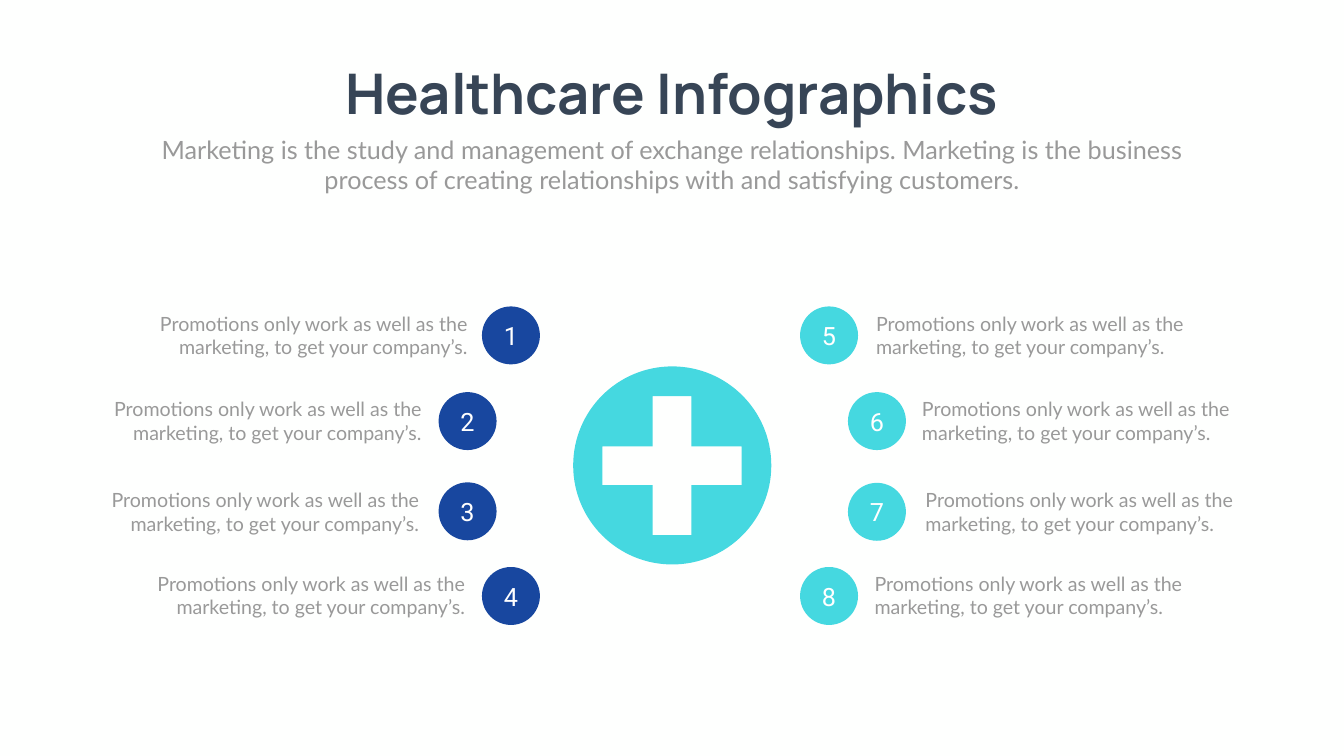
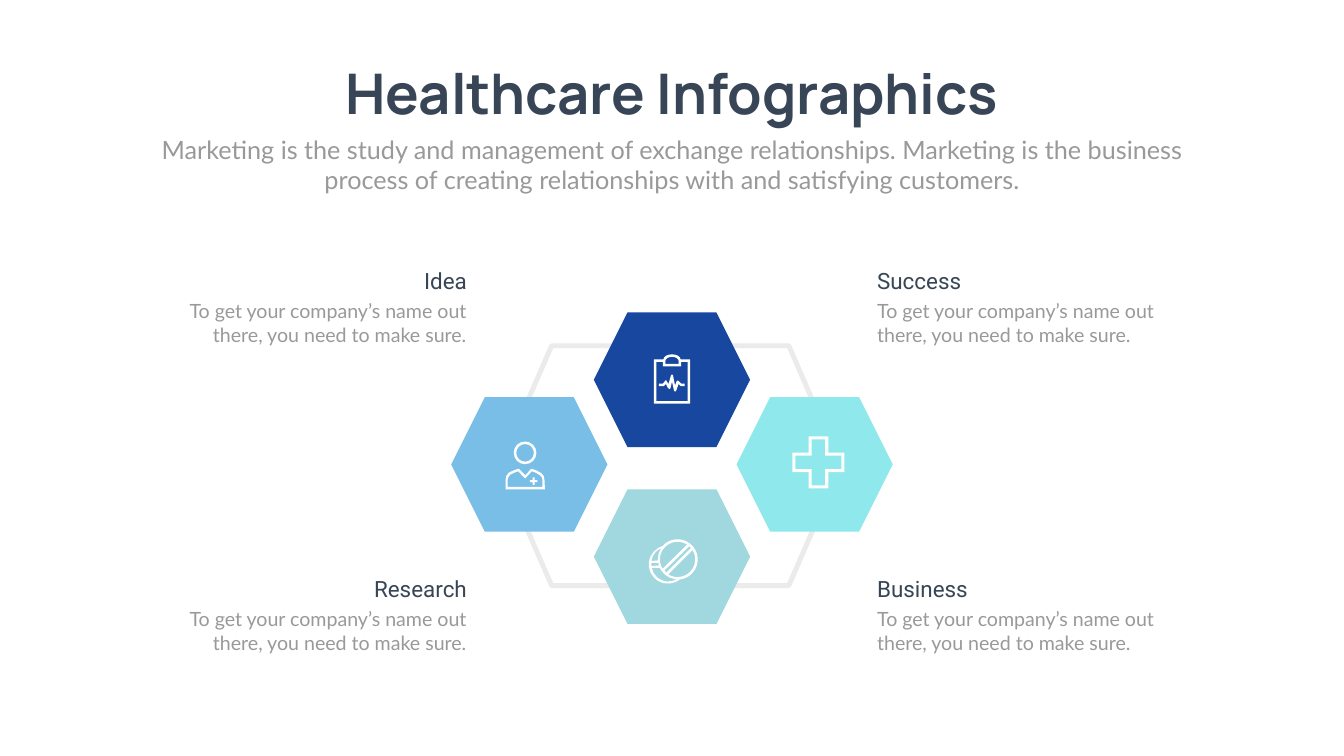
from math import ceil, cos, radians, sin, tan
from typing import NamedTuple

from pptx import Presentation
from pptx.dml.color import RGBColor
from pptx.enum.shapes import MSO_SHAPE
from pptx.enum.text import MSO_ANCHOR, MSO_AUTO_SIZE, PP_ALIGN
from pptx.oxml.ns import qn
from pptx.util import Pt

PX = 9144  # EMU in one px; 100 px make an inch
WIDE, HIGH = 2666, 1500

LEFT, MID, RIGHT = PP_ALIGN.LEFT, PP_ALIGN.CENTER, PP_ALIGN.RIGHT
TOP, CENTRE = MSO_ANCHOR.TOP, MSO_ANCHOR.MIDDLE
GROW = MSO_AUTO_SIZE.SHAPE_TO_FIT_TEXT
OVAL, HEXAGON = MSO_SHAPE.OVAL, MSO_SHAPE.HEXAGON

COLOURS = {
    "paper": "FEFFFE", "white": "FFFFFF", "ink": "374556", "grey": "999999",
    "ring": "EBEBEB", "navy": "18479F", "aqua": "45D8E0", "sky": "78BEE7",
    "sage": "A1D7DF", "mint": "8FE8EC",
}

TITLE = "Healthcare Infographics"
LEAD = ("Marketing is the study and management of exchange relationships. "
        "Marketing is the business process of creating relationships with "
        "and satisfying customers.")
PROMO = "Promotions only work as well as the marketing, to get your company’s."
ADVICE = "To get your company’s name out there, you need to make sure."

# A contour is a list of moves: two numbers for a line, six for a curve.
Trace = list[tuple[float, ...]]


class Box(NamedTuple):
    x: int
    y: int
    w: int
    h: int


class Style(NamedTuple):
    font: str
    size: int
    colour: str
    bold: bool = False


class Step(NamedTuple):
    label: str
    dot_x: int
    dot_y: int
    text_x: int
    text_y: int


class Topic(NamedTuple):
    head: str
    head_x: int
    text_x: int
    y: int
    align: PP_ALIGN


class Tile(NamedTuple):
    x: int
    y: int
    colour: str


HEADING = Style("Manrope", 80, "ink", True)
INTRO = Style("Lato", 36, "grey")
BODY = Style("Lato", 28, "grey")
TOPIC = Style("Roboto", 32, "ink")
NUMBER = Style("Roboto", 36, "white")

LEFT_STEPS = [
    Step("1", 956, 608, 266, 613),
    Step("2", 870, 778, 175, 783),
    Step("3", 870, 957, 170, 964),
    Step("4", 956, 1125, 261, 1129),
]
RIGHT_STEPS = [
    Step("5", 1587, 608, 1728, 613),
    Step("6", 1682, 778, 1819, 783),
    Step("7", 1682, 958, 1826, 964),
    Step("8", 1587, 1125, 1725, 1129),
]
TOPICS = [
    Topic("Success", 1730, 1730, 525, LEFT),
    Topic("Business", 1730, 1730, 1136, LEFT),
    Topic("Idea", 437, 311, 525, RIGHT),
    Topic("Research", 437, 311, 1136, RIGHT),
]
TILES = [
    Tile(1178, 620, "navy"),
    Tile(895, 788, "sky"),
    Tile(1178, 971, "sage"),
    Tile(1461, 788, "mint"),
]


def rgb(name: str) -> RGBColor:
    return RGBColor.from_string(COLOURS[name])


def place(shape, box: Box) -> None:
    shape.left, shape.top, shape.width, shape.height = (n * PX for n in box)


def write(shape, text: str, style: Style, align: PP_ALIGN,
          anchor: MSO_ANCHOR = TOP, wrap: bool = True) -> None:
    frame = shape.text_frame
    frame.word_wrap = wrap
    frame.vertical_anchor = anchor
    para = frame.paragraphs[0]
    para.alignment = align
    run = para.add_run()
    run.text = text
    font = run.font
    font.name, font.size, font.bold = style.font, Pt(style.size), style.bold
    font.color.rgb = rgb(style.colour)


def add_text(slide, box: Box, text: str, style: Style, align: PP_ALIGN) -> None:
    shape = slide.shapes.add_textbox(*(n * PX for n in box))
    write(shape, text, style, align)
    shape.text_frame.auto_size = GROW


def paint(shape, fill: str) -> None:
    shape.shadow.inherit = False
    shape.fill.solid()
    shape.fill.fore_color.rgb = rgb(fill)
    shape.line.fill.background()


def add_form(slide, kind: MSO_SHAPE, box: Box, fill: str):
    shape = slide.shapes.add_shape(kind, *(n * PX for n in box))
    paint(shape, fill)
    return shape


def add_path(slide, traces: list[Trace], fill: str) -> None:
    """Draw all contours as one freeform; inner contours become holes."""
    pen = None
    for trace in traces:
        first, *rest = [(round(move[i] * PX), round(move[i + 1] * PX))
                        for move in trace for i in range(0, len(move), 2)]
        if pen is None:
            pen = slide.shapes.build_freeform(*first, scale=1.0)
        else:
            pen.move_to(*first)
        pen.add_line_segments(rest, close=True)
    shape = pen.convert_to_shape()
    paint(shape, fill)
    lines = iter(list(shape.element.iter(qn("a:lnTo"))))
    for trace in traces:
        for move in trace[1:]:
            node = next(lines)
            if len(move) == 6:
                bend(node, [next(lines), next(lines)])


def bend(node, others: list) -> None:
    """Merge three line nodes into one cubic curve."""
    node.tag = qn("a:cubicBezTo")
    for other in others:
        node.append(other[0])
        other.getparent().remove(other)


def arc(x: float, y: float, rx: float, ry: float, start: int, end: int) -> Trace:
    """Start point and curves of an arc, in degrees clockwise from the right."""
    count = ceil(abs(end - start) / 90)
    turn = radians((end - start) / count)
    pull = 4 / 3 * tan(turn / 4)
    t = radians(start)
    moves: Trace = [(x + rx * cos(t), y + ry * sin(t))]
    for _ in range(count):
        u = t + turn
        moves.append((x + rx * (cos(t) - pull * sin(t)),
                      y + ry * (sin(t) + pull * cos(t)),
                      x + rx * (cos(u) + pull * sin(u)),
                      y + ry * (sin(u) - pull * cos(u)),
                      x + rx * cos(u), y + ry * sin(u)))
        t = u
    return moves


def ring(x: float, y: float, r: float) -> Trace:
    return arc(x, y, r, r, 0, 360)


def plus(x: float, y: float, reach: float, half: float) -> Trace:
    """Corners of a cross with the given arm length and half arm width."""
    arm = [(half, -reach), (half, -half), (reach, -half)]
    corners = []
    for _ in range(4):
        corners += arm
        arm = [(-b, a) for a, b in arm]
    return [(x + a, y + b) for a, b in corners]


def add_page(deck):
    slide = deck.slides.add_slide(deck.slide_layouts[0])
    title, lead = slide.placeholders
    place(title, Box(620, 112, 1426, 145))
    write(title, TITLE, HEADING, MID, wrap=False)
    place(lead, Box(292, 261, 2082, 131))
    write(lead, LEAD, INTRO, MID)
    lead.text_frame.paragraphs[0].space_before = Pt(0)
    for shape in (title, lead):
        shape.text_frame.auto_size = GROW
    return slide


def add_steps(slide, steps: list[Step], colour: str, align: PP_ALIGN) -> None:
    for step in steps:
        dot = add_form(slide, OVAL, Box(step.dot_x, step.dot_y, 115, 115), colour)
        frame = dot.text_frame
        frame.margin_left = frame.margin_right = 8 * PX
        frame.margin_top = frame.margin_bottom = 8 * PX
        write(dot, step.label, NUMBER, MID, CENTRE)
        add_text(slide, Box(step.text_x, step.text_y, 671, 104), PROMO, BODY, align)


def draw_board(slide) -> None:
    edge = [(1297, 713), *arc(1333, 713, 17, 10, 180, 360),
            (1369, 713), (1369, 801), (1297, 801)]
    clip = [(1320, 722), *arc(1333, 716, 13, 8, 180, 360), (1346, 722)]
    sheet = [(1302, 718), (1315, 718), (1315, 727), (1351, 727),
             (1351, 718), (1364, 718), (1364, 796), (1302, 796)]
    pulse = [(1307, 761), (1315, 761), (1321, 754), (1326, 762), (1331, 745),
             (1333, 743), (1335, 745), (1339, 765), (1342, 757), (1344, 755),
             (1346, 756), (1351, 761), (1358, 761), (1358, 766), (1350, 766),
             (1346, 762), (1341, 776), (1339, 777), (1337, 775), (1333, 757),
             (1330, 770), (1328, 772), (1325, 770), (1321, 762), (1317, 766),
             (1307, 766)]
    add_path(slide, [edge, clip, sheet], "white")
    add_path(slide, [pulse], "white")


def draw_nurse(slide) -> None:
    coat = [(1003, 971), (1003, 952), (1003, 946, 1005, 941, 1009, 938),
            (1015, 935, 1021, 932, 1028, 930), (1030, 931), (1042, 943),
            (1053, 931), (1055, 930), (1062, 932, 1068, 935, 1074, 939),
            (1078, 942, 1080, 946, 1080, 951), (1081, 971)]
    chest = [(1007, 966), (1007, 952), (1007, 948, 1009, 945, 1012, 942),
             (1017, 939, 1022, 937, 1028, 935), (1040, 948), (1042, 949),
             (1043, 948), (1055, 935), (1061, 937, 1066, 939, 1071, 943),
             (1074, 945, 1076, 948, 1076, 952), (1076, 966)]
    add_path(slide, [ring(1041.5, 898.5, 22.5), ring(1041.5, 898.5, 17.5)], "white")
    add_path(slide, [coat, chest], "white")
    add_path(slide, [plus(1058.5, 954.5, 7.5, 2)], "white")


def draw_pills(slide) -> None:
    edge = arc(1344, 1110, 40, 40, 226, 441) + arc(1325, 1120, 38, 38, 51, 256)
    halves = [arc(1344, 1110, 35, 35, 148, 303), arc(1344, 1110, 35, 35, -32, 122)]
    groove = [(1371, 1087), (1322, 1136), (1318, 1132), (1367, 1084)]
    slot = [(1292, 1117), (1306, 1117), (1307, 1122), (1292, 1123)]
    upper = [(1292, 1113), (1305, 1112), (1305, 1102, 1307, 1094, 1312, 1088),
             (1308, 1089, 1304, 1092, 1301, 1095),
             (1296, 1100, 1293, 1106, 1292, 1113)]
    lower = [(1324, 1154), (1316, 1153, 1308, 1150, 1302, 1144),
             (1298, 1140, 1294, 1134, 1293, 1127), (1309, 1127),
             (1311, 1131, 1313, 1134, 1317, 1138),
             (1324, 1145, 1333, 1149, 1343, 1149),
             (1337, 1152, 1331, 1154, 1324, 1154)]
    add_path(slide, [edge, *halves, groove, slot, upper, lower], "white")


def steps_page(deck) -> None:
    slide = add_page(deck)
    add_steps(slide, LEFT_STEPS, "navy", RIGHT)
    add_steps(slide, RIGHT_STEPS, "aqua", LEFT)
    add_path(slide, [ring(1333.5, 923.5, 196.5), plus(1333, 924, 138, 38.5)], "aqua")


def topics_page(deck) -> None:
    slide = add_page(deck)
    link = add_form(slide, HEXAGON, Box(991, 686, 677, 476), "paper")
    link.adjustments[0] = 0.217
    link.fill.background()
    link.line.color.rgb = rgb("ring")
    link.line.width = Pt(7)
    for tile in TILES:
        add_form(slide, HEXAGON, Box(tile.x, tile.y, 310, 267), tile.colour)
    add_path(slide, [plus(1623.5, 917.5, 51.5, 19.5),
                     plus(1623.5, 917.5, 45.5, 13.5)], "white")
    draw_board(slide)
    draw_pills(slide)
    draw_nurse(slide)
    for topic in TOPICS:
        add_text(slide, Box(topic.head_x, topic.y, 499, 64), topic.head, TOPIC,
                 topic.align)
        add_text(slide, Box(topic.text_x, topic.y + 64, 624, 104), ADVICE, BODY,
                 topic.align)


def main() -> None:
    deck = Presentation()
    deck.slide_width, deck.slide_height = WIDE * PX, HIGH * PX
    paper = deck.slide_master.background.fill
    paper.solid()
    paper.fore_color.rgb = rgb("paper")
    steps_page(deck)
    topics_page(deck)
    deck.save("out.pptx")


if __name__ == "__main__":
    main()
